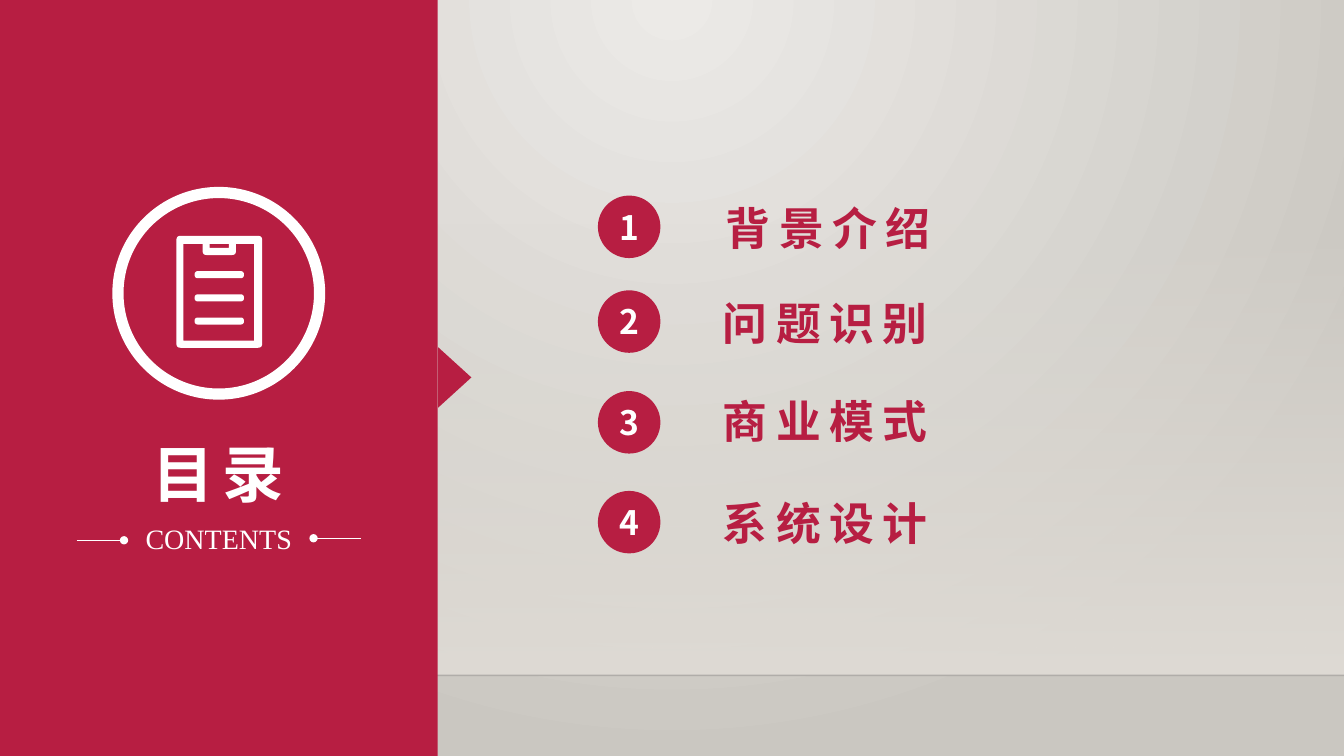
from dataclasses import dataclass
from lxml.etree import SubElement
from pptx import Presentation
from pptx.dml.color import RGBColor
from pptx.enum.shapes import MSO_CONNECTOR, MSO_SHAPE
from pptx.enum.text import MSO_ANCHOR, MSO_AUTO_SIZE, PP_ALIGN
from pptx.oxml.ns import qn
from pptx.util import Inches, Pt


@dataclass(frozen=True)
class Theme:
    red: str = "B71E42"
    white: str = "FFFFFF"
    black: str = "000001"
    light: str = "ECEAE7"
    dark: str = "CAC7C1"
    wall: str = "DFDBD5"
    sans: str = "Noto Sans CJK SC"
    serif: str = "Times New Roman"
    title: int = 44
    label: int = 32
    number: int = 24
    small: int = 20


@dataclass(frozen=True)
class Box:
    x: float
    y: float
    w: float
    h: float

    def sub(self, x, y, w, h):
        return Box(self.x + x, self.y + y, w, h)

    def place(self):
        return [Inches(n) for n in (self.x, self.y, self.w, self.h)]


THEME = Theme()


def rgb(color):
    return RGBColor.from_string(color)


def blend(parent, stops, angle=None):
    solid = parent.find(qn("a:solidFill"))
    grad = parent.makeelement(qn("a:gradFill"), {"rotWithShape": "1"})
    group = SubElement(grad, qn("a:gsLst"))
    for pos, color, alpha in stops:
        stop = SubElement(group, qn("a:gs"), pos=str(pos * 1000))
        tint = SubElement(stop, qn("a:srgbClr"), val=color)
        if alpha < 100:
            SubElement(tint, qn("a:alpha"), val=str(alpha * 1000))
    if angle is None:
        route = SubElement(grad, qn("a:path"), {"path": "circle"})
        SubElement(route, qn("a:fillToRect"), l="43000", t="0", r="43000", b="100000")
    else:
        SubElement(grad, qn("a:lin"), ang=str(angle * 60000), scaled="0")
    parent.replace(solid, grad)


def style(shape, fill=None, line=None, width=1):
    shape.shadow.inherit = False
    if fill:
        shape.fill.solid()
        shape.fill.fore_color.rgb = rgb(fill)
    else:
        shape.fill.background()
    if line:
        shape.line.color.rgb = rgb(line)
        shape.line.width = Pt(width)
    else:
        shape.line.fill.background()
    return shape


def draw(slide, kind, box, **look):
    return style(slide.shapes.add_shape(kind, *box.place()), **look)


def rule(slide, box, color, alpha=100, dot=None):
    x, y, w, h = box.place()
    wire = slide.shapes.add_connector(MSO_CONNECTOR.STRAIGHT, x, y, x + w, y + h)
    wire.line.color.rgb = rgb(color)
    wire.line.width = Pt(1)
    props = wire._element.spPr
    line = props.find(qn("a:ln"))
    if alpha < 100:
        SubElement(line.find(".//" + qn("a:srgbClr")), qn("a:alpha"), val=str(alpha * 1000))
    if dot:
        SubElement(line, qn("a:" + dot), type="oval")
    SubElement(props, qn("a:effectLst"))


def write(frame, text, size, color, font=THEME.sans, bold=True, gap=0, align=PP_ALIGN.CENTER):
    frame.word_wrap = True
    para = frame.paragraphs[0]
    para.alignment = align
    run = para.add_run()
    run.text = text
    run.font.size = Pt(size)
    run.font.bold = bold
    run.font.name = font
    run.font.color.rgb = rgb(color)
    props = run._r.get_or_add_rPr()
    props.set("spc", str(gap * 100))
    SubElement(props, qn("a:ea"), typeface=font)


def label(slide, box, text, **look):
    frame = slide.shapes.add_textbox(*box.place()).text_frame
    write(frame, text, **look)
    frame.auto_size = MSO_AUTO_SIZE.SHAPE_TO_FIT_TEXT


def toward(start, end, dist):
    (x, y), (u, v) = start, end
    span = abs(u - x) + abs(v - y)
    return x + (u - x) * dist / span, y + (v - y) * dist / span


def smooth(nodes, steps=6):
    points = []
    for i, (x, y, r) in enumerate(nodes):
        if not r:
            points.append((x, y))
            continue
        a = toward((x, y), nodes[i - 1][:2], r)
        b = toward((x, y), nodes[(i + 1) % len(nodes)][:2], r)
        for k in range(steps + 1):
            t = k / steps
            points.append(tuple(
                (1 - t) ** 2 * p + 2 * t * (1 - t) * q + t * t * s
                for p, q, s in zip(a, (x, y), b)))
    return points


def block(x, y, w, h, r=0):
    return [(x, y, r), (x + w, y, r), (x + w, y + h, r), (x, y + h, r)]


def clip(slide, box):
    sheet = [(0.07, 0.08, 0), (0.07, 1.04, 0), (0.77, 1.04, 0), (0.77, 0.08, 0),
             (0.59, 0.08, 0), (0.59, 0.19, 0.04), (0.26, 0.19, 0.04), (0.26, 0.08, 0)]
    bars = [block(0.18, 0.35 + 0.23 * i, 0.49, 0.07, 0.035) for i in range(3)]
    loops = [block(0, 0, box.w, box.h, 0.04), sheet, block(0.33, 0.08, 0.19, 0.04), *bars]
    pen = None
    for loop in loops:
        points = [(Inches(box.x + x), Inches(box.y + y)) for x, y in smooth(loop)]
        if pen is None:
            pen = slide.shapes.build_freeform(*points[0])
        else:
            pen.move_to(*points[0])
        pen.add_line_segments(points[1:], close=True)
    style(pen.convert_to_shape(), fill=THEME.white)


def wall(slide, box):
    slide.background.fill.solid()
    back = slide._element.find(".//" + qn("p:bgPr"))
    blend(back, [(0, THEME.light, 100), (100, THEME.dark, 100)])
    shade = draw(slide, MSO_SHAPE.RECTANGLE, box.sub(0, 2.21, box.w, 4.49), fill=THEME.wall)
    blend(shade._element.spPr, [(0, THEME.wall, 0), (100, THEME.wall, 100)], 90)
    rule(slide, box.sub(0, 6.7, box.w, 0), THEME.black, alpha=20)


def panel(slide, box):
    draw(slide, MSO_SHAPE.RECTANGLE, box, fill=THEME.red)
    arrow = draw(slide, MSO_SHAPE.ISOSCELES_TRIANGLE, box.sub(4.21, 3.58, 0.6, 0.33), fill=THEME.red)
    arrow.rotation = 90
    draw(slide, MSO_SHAPE.OVAL, box.sub(1.17, 1.91, 2, 2), line=THEME.white, width=8)
    clip(slide, box.sub(1.75, 2.34, 0.85, 1.11))
    label(slide, box.sub(1.23, 4.28, 1.88, 0.84), "目录", size=THEME.title, color=THEME.white, gap=6)
    label(slide, box.sub(0.93, 5.12, 2.48, 0.44), "CONTENTS", size=THEME.small,
          color=THEME.white, font=THEME.serif, bold=False)
    rule(slide, box.sub(0.76, 5.36, 0.47, 0), THEME.white, dot="tailEnd")
    rule(slide, box.sub(3.11, 5.34, 0.47, 0), THEME.white, dot="headEnd")


def agenda(slide, box):
    items = [("背景介绍", 0, 1.17, 0), ("问题识别", 0.94, 1.14, 0.94),
             ("商业模式", 1.94, 1.14, 1.92), ("系统设计", 2.93, 1.14, 2.93)]
    for i, (text, top, left, high) in enumerate(items, 1):
        badge = draw(slide, MSO_SHAPE.OVAL, box.sub(0, top, 0.62, 0.62), fill=THEME.red)
        badge.text_frame.vertical_anchor = MSO_ANCHOR.MIDDLE
        write(badge.text_frame, str(i), THEME.number, THEME.white, gap=3)
        label(slide, box.sub(left, high, 4.79, 0.64), text, size=THEME.label,
              color=THEME.red, gap=6, align=PP_ALIGN.JUSTIFY)


def main():
    deck = Presentation()
    deck.slide_width, deck.slide_height = Inches(13.33), Inches(7.5)
    slide = deck.slides.add_slide(deck.slide_layouts[6])
    wall(slide, Box(0, 0, 13.33, 7.5))
    panel(slide, Box(0, 0, 4.34, 7.5))
    agenda(slide, Box(5.93, 1.94, 5.96, 3.57))
    deck.save("out.pptx")


if __name__ == "__main__":
    main()
